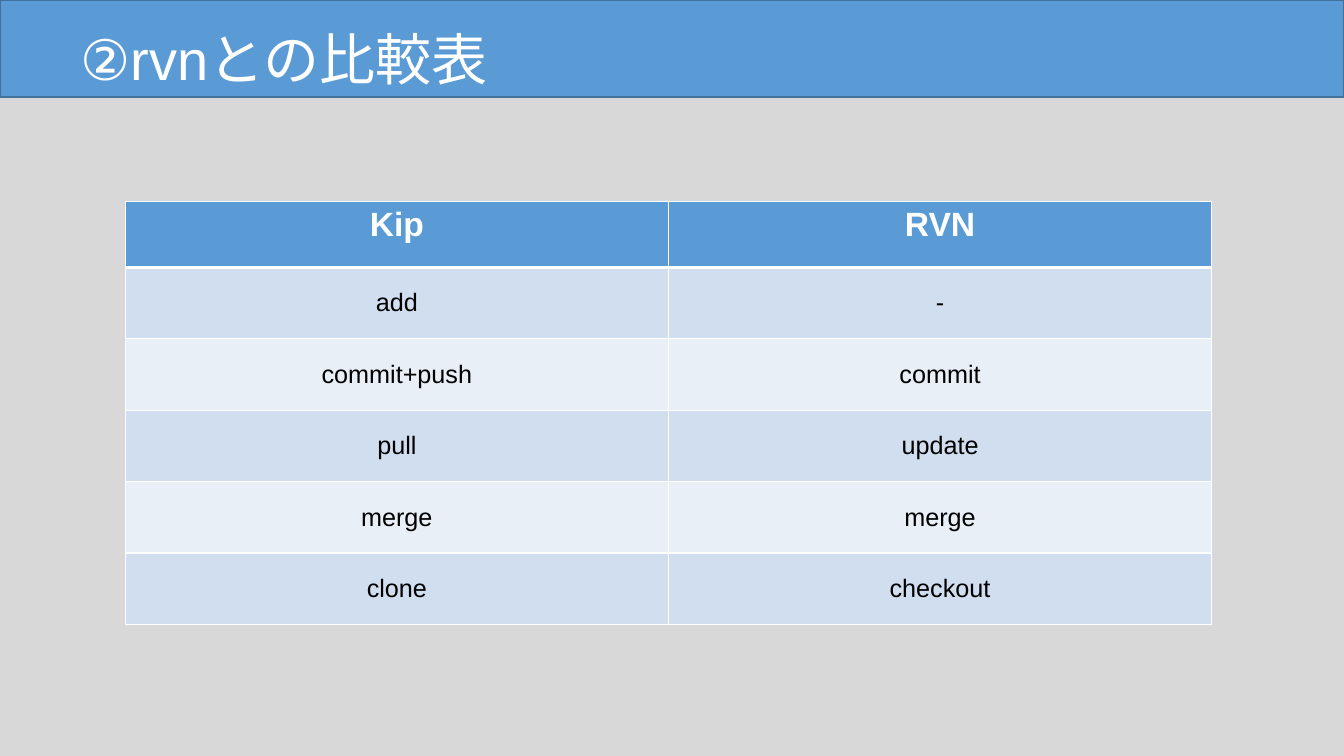
from lxml import etree
from pptx import Presentation
from pptx import util as u
from pptx.dml.color import RGBColor
from pptx.enum import lang, shapes, text
from pptx.oxml import ns

Pt = u.Pt
COLORS = {
    "background": "D8D8D8",
    "banner": "5B9BD5",
    "banner_edge": "42719B",
    "white": "FFFFFF",
    "black": "000000",
    "odd_row": "D0DEEF",
    "even_row": "E9EFF7",
}
COMMANDS = [
    ("Kip", "RVN"),
    ("add", "-"),
    ("commit+push", "commit"),
    ("pull", "update"),
    ("merge", "merge"),
    ("clone", "checkout"),
]


def add_run(paragraph, words, size, color, bold=False):
    run = paragraph.add_run()
    run.text = words
    run.font.name = "Arial"
    run.font.size = Pt(size)
    run.font.bold = bold
    run.font.language_id = lang.MSO_LANGUAGE_ID.JAPANESE
    run.font.color.rgb = RGBColor.from_string(COLORS[color])


def paint_cell(cell, fill, top_width, bottom_width):
    properties = cell._tc.get_or_add_tcPr()
    for side, width in (("lnL", 1), ("lnR", 1), ("lnT", top_width), ("lnB", bottom_width)):
        border = etree.SubElement(properties, ns.qn(f"a:{side}"), w=str(Pt(width)))
        solid = etree.SubElement(border, ns.qn("a:solidFill"))
        etree.SubElement(solid, ns.qn("a:srgbClr"), val=COLORS["white"])
    cell.fill.solid()
    cell.fill.fore_color.rgb = RGBColor.from_string(COLORS[fill])


prs = Presentation()
prs.slide_width, prs.slide_height = Pt(960), Pt(540)
slide = prs.slides.add_slide(prs.slide_layouts[6])
slide.background.fill.solid()
slide.background.fill.fore_color.rgb = RGBColor.from_string(COLORS["background"])

banner = slide.shapes.add_shape(shapes.MSO_SHAPE.RECTANGLE, 0, 0, Pt(960), Pt(69.3))
banner.shadow.inherit = False
banner.fill.solid()
banner.fill.fore_color.rgb = RGBColor.from_string(COLORS["banner"])
banner.line.color.rgb = RGBColor.from_string(COLORS["banner_edge"])
banner.line.width = Pt(1)

title = slide.shapes.add_textbox(Pt(50.5), Pt(13.7), Pt(875), Pt(55.4)).text_frame
title.word_wrap = True
add_run(title.paragraphs[0], "②rvnとの比較表", 40, "white")

comparison = slide.shapes.add_table(
    len(COMMANDS), 2, Pt(89.5), Pt(143.8), Pt(776), Pt(302.2)
).table
for column in comparison.columns:
    column.width = Pt(388)

for index, commands in enumerate(COMMANDS):
    heading = index == 0
    comparison.rows[index].height = Pt(47.2 if heading else 51)
    fill = "banner" if heading else "odd_row" if index % 2 else "even_row"
    for cell, command in zip(comparison.rows[index].cells, commands):
        paint_cell(cell, fill, 3 if index == 1 else 1, 3 if heading else 1)
        cell.vertical_anchor = text.MSO_ANCHOR.TOP if heading else text.MSO_ANCHOR.MIDDLE
        paragraph = cell.text_frame.paragraphs[0]
        paragraph.alignment = text.PP_ALIGN.CENTER
        if heading:
            add_run(paragraph, command, 24, "white", True)
        else:
            add_run(paragraph, command, 18, "black")

prs.save("out.pptx")
